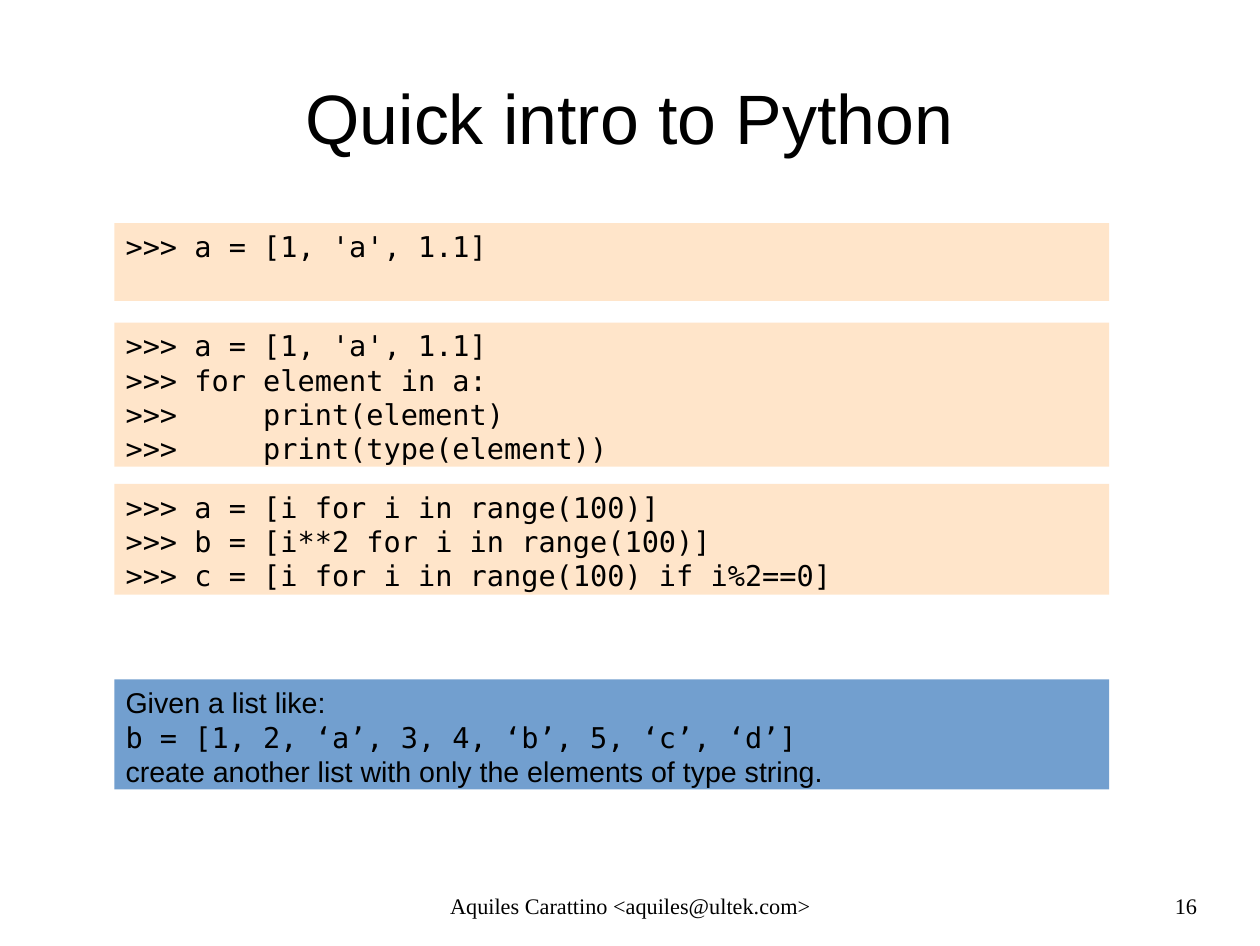
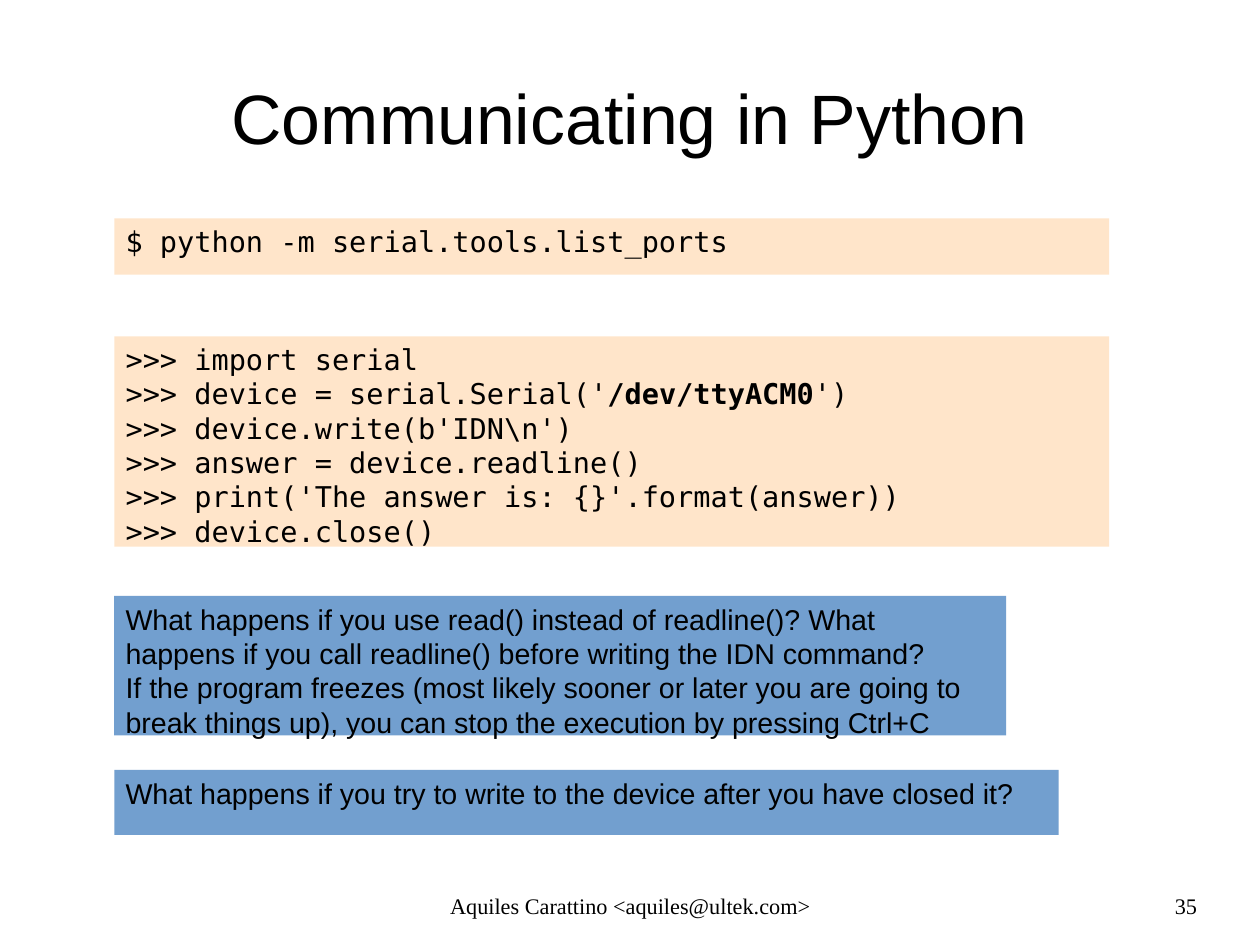
from collections import namedtuple

from pptx import Presentation
from pptx import util as u
from pptx.dml import color
from pptx.enum import shapes, text

Box = namedtuple("Box", "x y w h")
PAGE = Box(0, 0, u.Inches(11.02), u.Inches(8.27))
AL = text.PP_ALIGN

THEME = {
    "ink": "000000",
    "fill": {"code": "FFE5CA", "task": "729FCF"},
    "font": {
        "title": {"name": "Arial", "size": u.Pt(44), "bold": False},
        "code": {"name": "DejaVu Sans Mono", "size": u.Pt(18), "bold": False},
        "bold": {"name": "DejaVu Sans Mono", "size": u.Pt(18), "bold": True},
        "task": {"name": "Arial", "size": u.Pt(18), "bold": False},
        "foot": {"name": "Times New Roman", "size": u.Pt(14), "bold": False},
    },
}
LEFT, FULL = 9.07, 78.95
AUTHOR = "Aquiles Carattino <aquiles@ultek.com>"


def share(box, x, y, w, h):
    return Box(
        int(box.x + box.w * x / 100),
        int(box.y + box.h * y / 100),
        int(box.w * w / 100),
        int(box.h * h / 100),
    )


def rgb(code):
    return color.RGBColor.from_string(code)


def assign(item, values):
    for key, value in values.items():
        setattr(item, key, value)


def write(shape, lines, style, align=AL.LEFT, anchor=text.MSO_ANCHOR.TOP, pad=(0, 0)):
    side, edge = (u.Inches(gap) for gap in pad)
    frame = shape.text_frame
    assign(frame, {
        "word_wrap": True,
        "auto_size": text.MSO_AUTO_SIZE.NONE,
        "vertical_anchor": anchor,
        "margin_left": side,
        "margin_right": side,
        "margin_top": edge,
        "margin_bottom": edge,
    })
    for row, line in enumerate(lines):
        para = frame.add_paragraph() if row else frame.paragraphs[0]
        para.alignment = align
        runs = [(line, style)] if isinstance(line, str) else line
        for words, look in runs:
            run = para.add_run()
            run.text = words
            assign(run.font, THEME["font"][look])
            run.font.color.rgb = rgb(THEME["ink"])


def title(slide, box, words):
    shape = slide.shapes.add_textbox(*share(box, 5, 4, 90, 16.69))
    write(shape, [words], "title", AL.CENTER, text.MSO_ANCHOR.MIDDLE)


def panel(slide, box, kind, top, high, lines, wide=FULL):
    shape = slide.shapes.add_shape(
        shapes.MSO_SHAPE.RECTANGLE, *share(box, LEFT, top, wide, high))
    shape.shadow.inherit = False
    shape.fill.solid()
    shape.fill.fore_color.rgb = rgb(THEME["fill"][kind])
    shape.line.fill.background()
    write(shape, lines, kind, pad=(0.1, 0.05))


def footer(slide, box, number):
    for left, wide, words, align in (
        (34.2, 31.67, AUTHOR, AL.CENTER),
        (71.69, 23.32, str(number), AL.RIGHT),
    ):
        shape = slide.shapes.add_textbox(*share(box, left, 94.32, wide, 4.4))
        write(shape, [words], "foot", align)


def lesson(deck, box, name, number, panels):
    slide = deck.slides.add_slide(deck.slide_layouts[6])
    title(slide, box, name)
    for item in panels:
        panel(slide, box, *item)
    footer(slide, box, number)


INTRO = [
    ("code", 23.58, 8.22, [">>> a = [1, 'a', 1.1]"]),
    ("code", 34.1, 15.24, [
        ">>> a = [1, 'a', 1.1]",
        ">>> for element in a:",
        ">>>     print(element)",
        ">>>     print(type(element))",
    ]),
    ("code", 51.15, 11.73, [
        ">>> a = [i for i in range(100)]",
        ">>> b = [i**2 for i in range(100)]",
        ">>> c = [i for i in range(100) if i%2==0]",
    ]),
    ("task", 71.83, 11.61, [
        "Given a list like:",
        [("b = [1, 2, ‘a’, 3, 4, ‘b’, 5, ‘c’, ‘d’]", "code")],
        "create another list with only the elements of type string.",
    ]),
]

SERIAL = [
    ("code", 23.1, 5.93, ["$ python -m serial.tools.list_ports"]),
    ("code", 35.55, 22.25, [
        ">>> import serial",
        [
            (">>> device = serial.Serial('", "code"),
            ("/dev/ttyACM0", "bold"),
            ("')", "code"),
        ],
        ">>> device.write(b'IDN\\n')",
        ">>> answer = device.readline()",
        ">>> print('The answer is: {}'.format(answer))",
        ">>> device.close()",
    ]),
    ("task", 63, 14.75, [
        "What happens if you use read() instead of readline()? What",
        "happens if you call readline() before writing the IDN command?",
        "If the program freezes (most likely sooner or later you are going to",
        "break things up), you can stop the execution by pressing Ctrl+C",
    ], 70.78),
    ("task", 81.38, 6.89, [
        "What happens if you try to write to the device after you have closed it?",
    ], 74.95),
]


def main():
    deck = Presentation()
    assign(deck, {"slide_width": PAGE.w, "slide_height": PAGE.h})
    lesson(deck, PAGE, "Quick intro to Python", 16, INTRO)
    lesson(deck, PAGE, "Communicating in Python", 35, SERIAL)
    deck.save("out.pptx")


if __name__ == "__main__":
    main()
